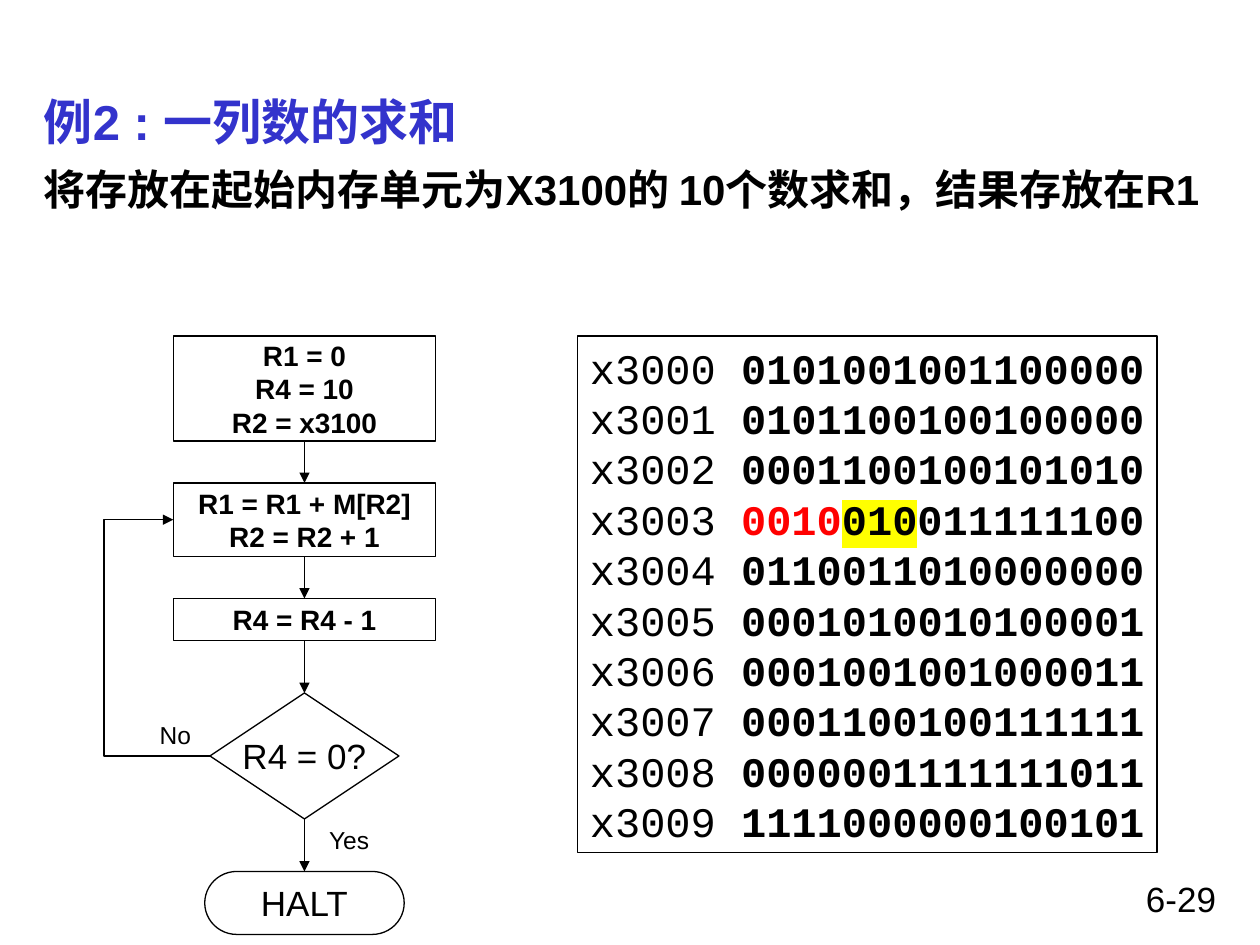
from lxml import etree
from pptx import Presentation
from pptx.dml.color import RGBColor
from pptx.enum.shapes import MSO_CONNECTOR, MSO_SHAPE
from pptx.enum.text import MSO_ANCHOR, PP_ALIGN
from pptx.oxml.ns import qn
from pptx.util import Pt

RECT = MSO_SHAPE.RECTANGLE
DECISION = MSO_SHAPE.FLOWCHART_DECISION
TERMINATOR = MSO_SHAPE.FLOWCHART_TERMINATOR
STRAIGHT, ELBOW = MSO_CONNECTOR.STRAIGHT, MSO_CONNECTOR.ELBOW
LEFT, CENTER, RIGHT = PP_ALIGN.LEFT, PP_ALIGN.CENTER, PP_ALIGN.RIGHT
TOP, MIDDLE = MSO_ANCHOR.TOP, MSO_ANCHOR.MIDDLE
BLACK = "000000"


def rgb(value):
    return RGBColor.from_string(value)


def style(shape, size, bold=False, color=BLACK, align=LEFT, anchor=TOP, wrap=False):
    """Format all the text of a shape alike."""
    tf = shape.text_frame
    tf.word_wrap = wrap
    tf.vertical_anchor = anchor
    for p in tf.paragraphs:
        p.alignment = align
        for r in p.runs:
            r.font.name = "Arial"
            r.font.size = Pt(size)
            r.font.bold = bold
            r.font.color.rgb = rgb(color)


prs = Presentation()
prs.slide_width, prs.slide_height = Pt(720), Pt(540)
s = prs.slides.add_slide(prs.slide_layouts[6])

# Title, task, page number and branch labels
texts = [
    ("例2 : 一列数的求和", 18, 48, 684, 42, 28, True, "3333CC", LEFT, MIDDLE, True),
    ("将存放在起始内存单元为X3100的 10个数求和，结果存放在R1",
     18, 90, 684, 390, 24, True, BLACK, LEFT, TOP, True),
    ("6-29", 516, 498, 186, 30, 20, False, BLACK, RIGHT, TOP, True),
    ("No", 84, 408, 32.4, 24, 14, False, BLACK, CENTER, TOP, False),
    ("Yes", 180, 468, 39, 24, 14, False, BLACK, CENTER, TOP, False),
]
for text, x, y, w, h, *look in texts:
    sp = s.shapes.add_textbox(Pt(x), Pt(y), Pt(w), Pt(h))
    sp.text_frame.text = text
    style(sp, *look)
    if h == 390:
        sp.text_frame.paragraphs[0].space_before = Pt(4.8)

# Flowchart steps, centred on one axis: kind, text, width, height, gap below
axis, y = 174, 192
steps = [
    (RECT, "R1 = 0\vR4 = 10\nR2 = x3100", 150, 60, 24),
    (RECT, "R1 = R1 + M[R2]\nR2 = R2 + 1", 150, 42, 24),
    (RECT, "R4 = R4 - 1", 150, 24, 30),
    (DECISION, "R4 = 0?", 108, 72, 30),
    (TERMINATOR, "HALT", 114, 36, 0),
]
nodes = []
for kind, text, w, h, gap in steps:
    sp = s.shapes.add_shape(kind, Pt(axis - w / 2), Pt(y), Pt(w), Pt(h))
    sp.text_frame.text = text
    is_box = kind == RECT
    style(sp, 16 if is_box else 20, is_box, align=CENTER, anchor=MIDDLE)
    nodes.append(sp)
    y += h + gap

# Program listing
listing = s.shapes.add_shape(RECT, Pt(330), Pt(192), Pt(331.2), Pt(295.2))
words = [
    "0101001001100000", "0101100100100000", "0001100100101010", "0010010011111100",
    "0110011010000000", "0001010010100001", "0001001001000011", "0001100100111111",
    "0000001111111011", "1111000000100101",
]
load_row = 3  # opcode in red, destination register highlighted
tf = listing.text_frame
tf.word_wrap = False
tf.vertical_anchor = TOP
for i, word in enumerate(words):
    p = tf.paragraphs[0] if i == 0 else tf.add_paragraph()
    p.alignment = LEFT
    fields = [word[:4], word[4:7], word[7:]] if i == load_row else [word]
    for j, part in enumerate([f"x300{i} "] + fields):
        r = p.add_run()
        r.text = part
        r.font.name = "Courier New"
        r.font.size = Pt(24)
        r.font.bold = j > 0
        r.font.color.rgb = rgb("FF0000" if i == load_row and j == 1 else BLACK)
        if i == load_row and j == 2:
            mark = etree.Element(qn("a:highlight"))
            etree.SubElement(mark, qn("a:srgbClr"), val="FFFF00")
            r.font._element.find(qn("a:solidFill")).addnext(mark)

for sp in nodes + [listing]:
    sp.shadow.inherit = False
    sp.fill.background()
    sp.line.color.rgb = rgb(BLACK)
    sp.line.width = Pt(0.75)

# Arrows: each step to the next, then the loop back from the decision
links = [(STRAIGHT, a, 2, b, 0) for a, b in zip(nodes, nodes[1:])]
links.append((ELBOW, nodes[3], 1, nodes[1], 1))
for kind, a, a_side, b, b_side in links:
    c = s.shapes.add_connector(kind, 0, 0, 0, 0)
    c.begin_connect(a, a_side)
    c.end_connect(b, b_side)
    c.line.color.rgb = rgb(BLACK)
    c.line.width = Pt(0.75)
    etree.SubElement(c.line._get_or_add_ln(), qn("a:tailEnd"), type="triangle")
    props = c._element.spPr
    etree.SubElement(props, qn("a:effectLst"))
    if kind == ELBOW:
        reach = (c.begin_x - Pt(59.4)) / (c.begin_x - c.end_x)
        guides = props.find(qn("a:prstGeom")).get_or_add_avLst()
        etree.SubElement(guides, qn("a:gd"), name="adj1", fmla=f"val {round(reach * 100000)}")

prs.save("out.pptx")
